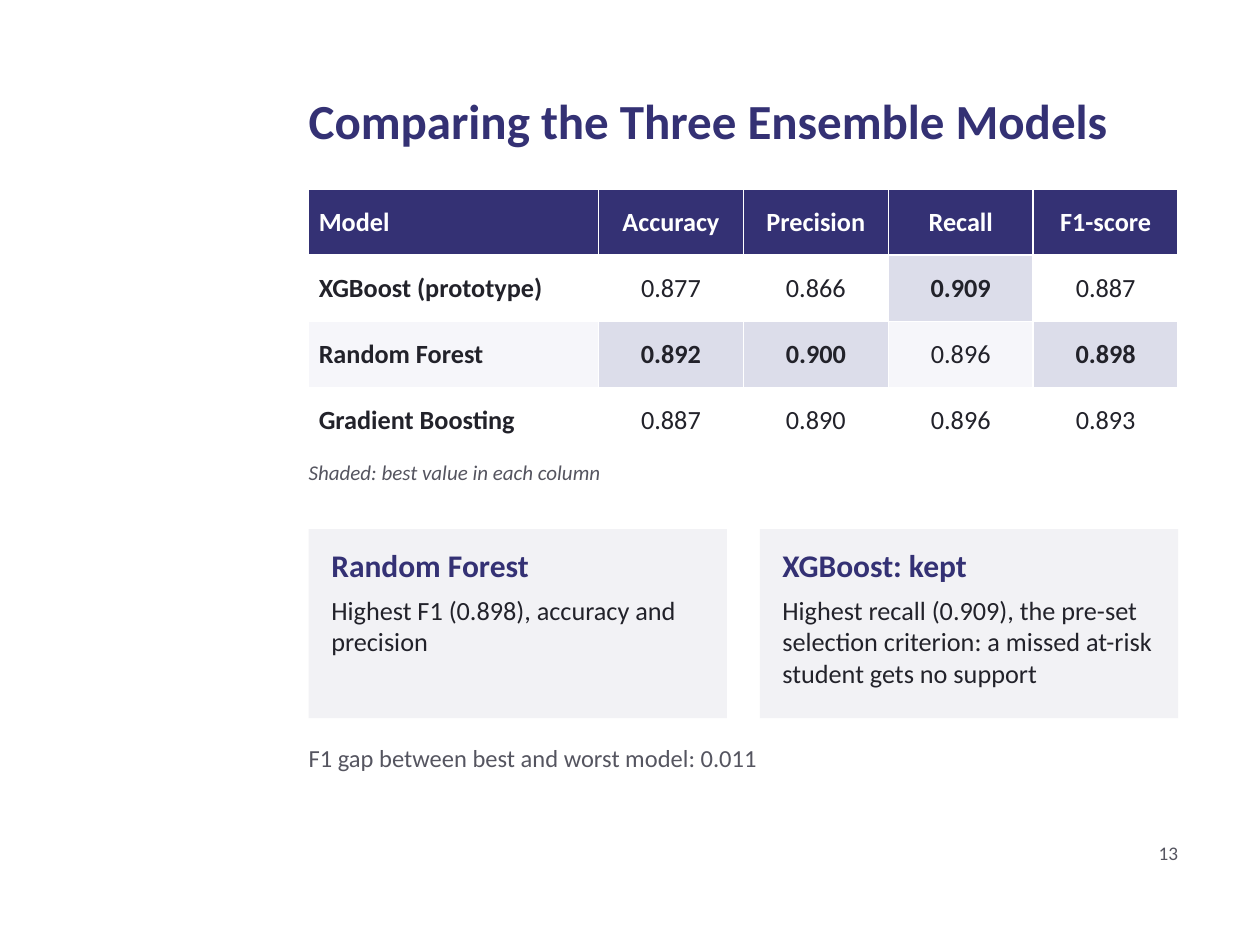
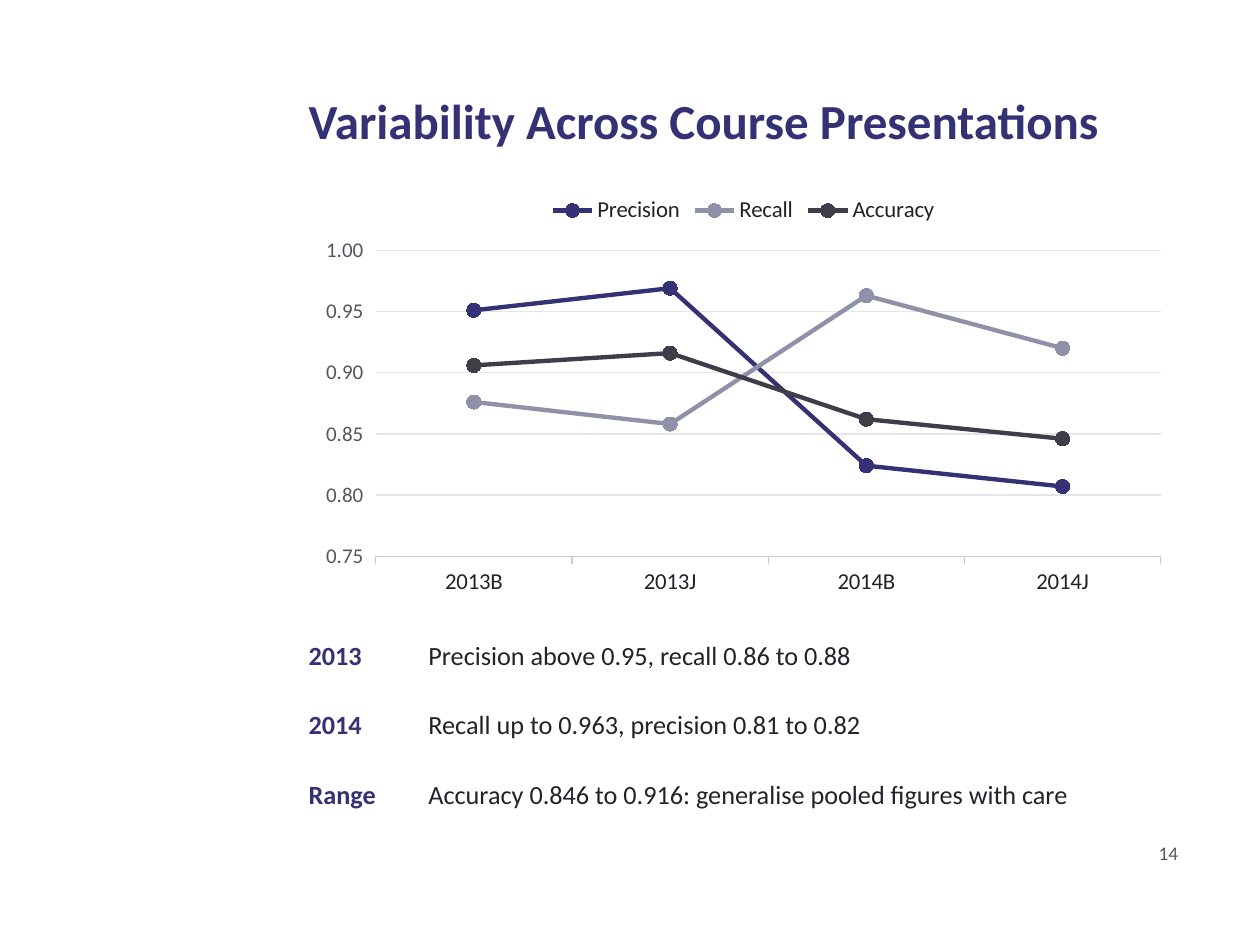
from pptx import Presentation
from pptx.chart.data import CategoryChartData
from pptx.dml.color import RGBColor
from pptx.enum.chart import XL_CHART_TYPE as CT, XL_LEGEND_POSITION as LP, XL_MARKER_STYLE as MS
from pptx.enum.chart import XL_TICK_MARK as TM
from pptx.enum.shapes import MSO_SHAPE
from pptx.enum.text import MSO_ANCHOR as MA, MSO_AUTO_SIZE as AUTO, PP_ALIGN as AL
from pptx.oxml import parse_xml
from pptx.oxml.ns import nsdecls
from pptx.util import Inches, Pt

# Shared look
FONT = "Calibri"
INDIGO, INK, GREY, WHITE = "343174", "22222A", "555560", "FFFFFF"
BEST, BAND, CARD = "DCDDEA", "F6F6FA", "F2F2F5"
LEFT, WIDTH = 2.45, 6.9
RIGHT = LEFT + WIDTH
rgb = RGBColor.from_string


def add_run(p, text, size, color, bold=False, italic=False):
    r = p.add_run()
    r.text = text
    f = r.font
    f.name, f.size, f.bold, f.italic = FONT, Pt(size), bold, italic
    f.color.rgb = rgb(color)


def add_text(s, box, runs, anchor=MA.TOP, align=AL.LEFT):
    """Add a text box without insets; each entry of runs is one paragraph."""
    tf = s.shapes.add_textbox(*map(Inches, box)).text_frame
    tf.word_wrap = True
    tf.auto_size = AUTO.SHAPE_TO_FIT_TEXT
    tf.vertical_anchor = anchor
    tf.margin_left = tf.margin_right = tf.margin_top = tf.margin_bottom = 0
    for i, run in enumerate(runs):
        p = tf.add_paragraph() if i else tf.paragraphs[0]
        p.alignment = align
        p.space_after = Pt(6)
        add_run(p, *run)


prs = Presentation()
prs.slide_width, prs.slide_height = Inches(10), Inches(7.5)

# Titles and page numbers
titles = ["Comparing the Three Ensemble Models", "Variability Across Course Presentations"]
for number, title in enumerate(titles, 13):
    s = prs.slides.add_slide(prs.slide_layouts[5])
    s.background.fill.solid()
    s.background.fill.fore_color.rgb = rgb(WHITE)
    sp = s.shapes.title
    sp.left, sp.top, sp.width, sp.height = map(Inches, (LEFT, 0.55, WIDTH, 0.8))
    tf = sp.text_frame
    tf.auto_size = AUTO.NONE
    tf.vertical_anchor = MA.MIDDLE
    tf.margin_left = tf.margin_right = 0
    tf.paragraphs[0].alignment = AL.LEFT
    add_run(tf.paragraphs[0], title, 28, INDIGO, True)
    add_text(s, (RIGHT - 0.6, 6.68, 0.6, 0.28), [(str(number), 11, GREY)], align=AL.RIGHT)
compare, variability = prs.slides

# Model comparison table
s = compare
rows = [
    ("Model", "Accuracy", "Precision", "Recall", "F1-score"),
    ("XGBoost (prototype)", "0.877", "0.866", "0.909", "0.887"),
    ("Random Forest", "0.892", "0.900", "0.896", "0.898"),
    ("Gradient Boosting", "0.887", "0.890", "0.896", "0.893"),
]
best = [max(column[1:]) for column in zip(*rows)]
table = s.shapes.add_table(4, 5, *map(Inches, (LEFT, 1.5, WIDTH, 2.1))).table
for c, col in enumerate(table.columns):
    col.width = Inches(WIDTH / 6 if c else WIDTH / 3)
    col.width = Inches(1.15 if c else 2.3)
for r, row in enumerate(rows):
    for c, value in enumerate(row):
        cell = table.cell(r, c)
        is_best = r > 0 and c > 0 and value == best[c]
        cell.vertical_anchor = MA.MIDDLE
        cell.margin_left = cell.margin_right = Inches(0.08)
        cell.margin_top = cell.margin_bottom = Inches(0.04)
        for side in "LRTB":
            cell._tc.get_or_add_tcPr().append(parse_xml(
                f'<a:ln{side} {nsdecls("a")} w="12700"><a:solidFill>'
                f'<a:srgbClr val="{WHITE}"/></a:solidFill></a:ln{side}>'))
        cell.fill.solid()
        fill = INDIGO if r == 0 else BEST if is_best else BAND if r == 2 else WHITE
        cell.fill.fore_color.rgb = rgb(fill)
        p = cell.text_frame.paragraphs[0]
        p.alignment = AL.CENTER if c else AL.LEFT
        add_run(p, value, 15, INK if r else WHITE, r == 0 or c == 0 or is_best)
add_text(s, (LEFT, 3.65, WIDTH, 0.3),
         [("Shaded: best value in each column", 12, GREY, False, True)])

# Two verdict cards
cards = [
    ("Random Forest", "Highest F1 (0.898), accuracy and precision"),
    ("XGBoost: kept", "Highest recall (0.909), the pre-set selection criterion: "
                      "a missed at-risk student gets no support"),
]
card_w, pad = 3.32, 0.18
for i, (head, body) in enumerate(cards):
    x = LEFT + i * (WIDTH - card_w)
    sp = s.shapes.add_shape(MSO_SHAPE.RECTANGLE, *map(Inches, (x, 4.2, card_w, 1.5)))
    sp.shadow.inherit = False
    sp.fill.solid()
    sp.fill.fore_color.rgb = rgb(CARD)
    sp.line.fill.background()
    add_text(s, (x + pad, 4.33, card_w - 2 * pad, 1.7),
             [(head, 18, INDIGO, True), (body, 15, INK)])
add_text(s, (LEFT, 5.9, WIDTH, 0.4), [("F1 gap between best and worst model: 0.011", 14, GREY)])

# Line chart by course presentation
s = variability
series = [
    ("Precision", INDIGO, (0.951, 0.969, 0.824, 0.807)),
    ("Recall", "8E91A8", (0.876, 0.858, 0.963, 0.92)),
    ("Accuracy", "3E3E48", (0.906, 0.916, 0.862, 0.846)),
]
data = CategoryChartData(number_format="0.000")
data.categories = ["2013B", "2013J", "2014B", "2014J"]
for name, _, values in series:
    data.add_series(name, values)
frame = s.shapes.add_chart(CT.LINE_MARKERS, *map(Inches, (LEFT, 1.45, WIDTH, 3.35)), data)
chart = frame.chart
chart.has_title = False
chart.font.name = FONT
chart.has_legend = True
chart.legend.position = LP.TOP
chart.legend.include_in_layout = False
plot = chart.plots[0]
plot.vary_by_categories = False
for ser, (_, color, _) in zip(plot.series, series):
    ser.smooth = False
    ser.format.line.width = Pt(2.5)
    ser.format.line.color.rgb = rgb(color)
    marker = ser.marker
    marker.style, marker.size = MS.CIRCLE, 8
    marker.format.fill.solid()
    marker.format.fill.fore_color.rgb = rgb(color)
    marker.format.line.color.rgb = rgb(color)

# Axes and chart fonts
cat, val = chart.category_axis, chart.value_axis
cat.major_tick_mark = val.major_tick_mark = TM.OUTSIDE
val.minimum_scale, val.maximum_scale, val.major_unit = 0.75, 1, 0.05
val.has_major_gridlines = True
val.tick_labels.number_format = "0.00"
val.tick_labels.number_format_is_linked = False
val.format.line.fill.background()
for line, color in ((cat.format.line, "C9CAD3"), (val.major_gridlines.format.line, "E4E4EA")):
    line.width = Pt(0.75)
    line.color.rgb = rgb(color)
for part, size, color in ((cat.tick_labels, 13, INK), (val.tick_labels, 12, GREY),
                          (chart.legend, 13, INK)):
    part.font.name, part.font.size = FONT, Pt(size)
    part.font.color.rgb = rgb(color)

# Labelled findings
findings = [
    ("2013", "Precision above 0.95, recall 0.86 to 0.88"),
    ("2014", "Recall up to 0.963, precision 0.81 to 0.82"),
    ("Range", "Accuracy 0.846 to 0.916: generalise pooled figures with care"),
]
label_w, gap = 0.9, 0.05
for i, (label, finding) in enumerate(findings):
    y, x = 4.95 + i * 0.55, LEFT + label_w + gap
    add_text(s, (LEFT, y, label_w, 0.5), [(label, 15, INDIGO, True)], MA.MIDDLE)
    add_text(s, (x, y, RIGHT - x, 0.5), [(finding, 15, INK)], MA.MIDDLE)

prs.save("out.pptx")
